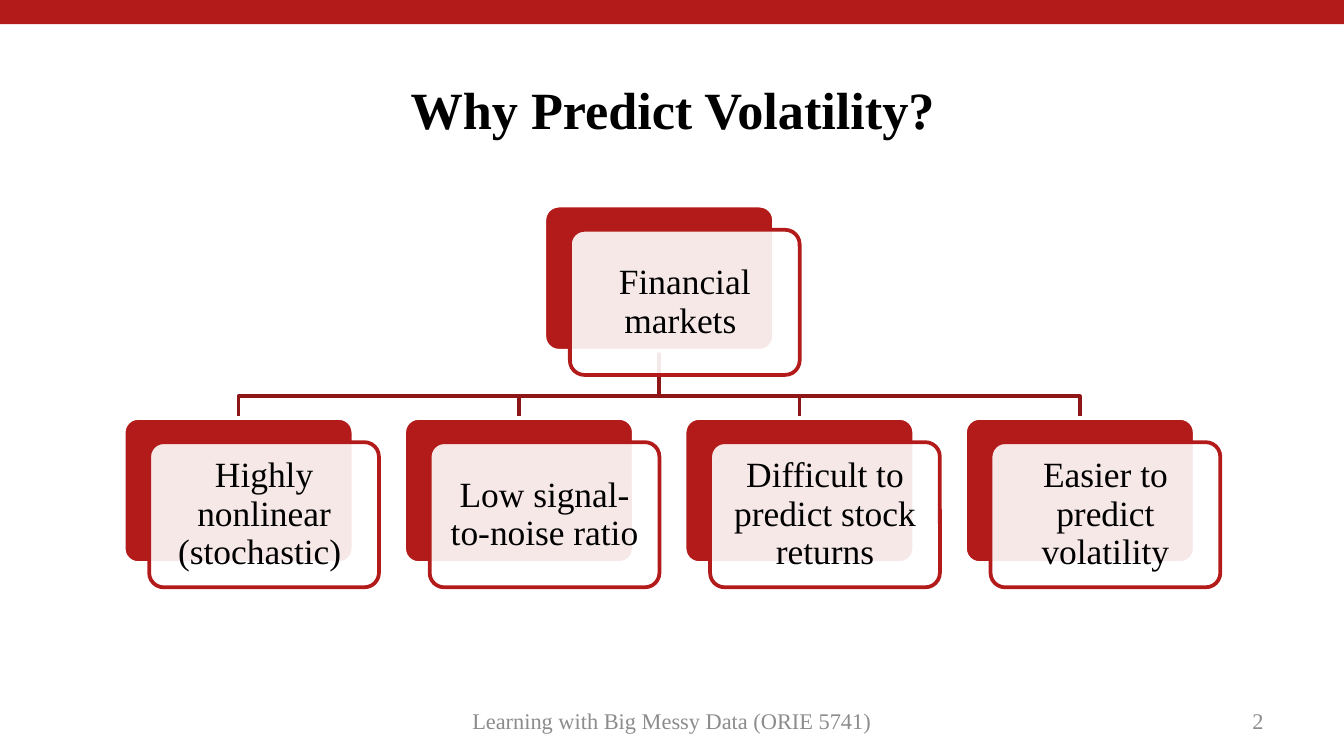
from lxml import etree
from pptx import Presentation
from pptx.dml.color import RGBColor
from pptx.enum.shapes import MSO_SHAPE as Shape
from pptx.enum.text import MSO_ANCHOR as Anchor, PP_ALIGN as Align
from pptx.oxml.ns import qn
from pptx.util import Inches, Pt

COLORS = {"red": "B31B1B", "dark_red": "8F1616", "white": "FFFFFF",
          "black": "000000", "gray": "8C8C8C"}
COLORS = {name: RGBColor.from_string(value) for name, value in COLORS.items()}
FONT = "Times New Roman"

# Widescreen page, 16 to 9
deck = Presentation()
deck.slide_width, deck.slide_height = Inches(10), Inches(10 * 9 / 16)
page = deck.slides.add_slide(deck.slide_layouts[6])


def add_text(text, place, size, color="black", align=Align.CENTER,
             bold=False, spacing=1.0, inset=(0.1, 0.05)):
    box = page.shapes.add_textbox(*[Inches(value) for value in place])
    side, edge = [Inches(value) for value in inset]
    frame_format = {"word_wrap": True, "vertical_anchor": Anchor.MIDDLE,
                    "margin_left": side, "margin_right": side,
                    "margin_top": edge, "margin_bottom": edge}
    for name, value in frame_format.items():
        setattr(box.text_frame, name, value)
    para = box.text_frame.paragraphs[0]
    para.alignment, para.line_spacing = align, spacing
    span = para.add_run()
    span.text = text
    for name, value in {"name": FONT, "size": Pt(size), "bold": bold}.items():
        setattr(span.font, name, value)
    span.font.color.rgb = COLORS[color]


def add_panel(kind, place, fill, line=None):
    panel = page.shapes.add_shape(kind, *[Inches(value) for value in place])
    panel.shadow.inherit = False
    panel.fill.solid()
    panel.fill.fore_color.rgb = COLORS[fill]
    if line:
        panel.line.color.rgb = COLORS[line]
        panel.line.width = Pt(2)
        panel.adjustments[0] = 0.1
    else:
        panel.line.fill.background()
    return panel


# Top band and title
add_panel(Shape.RECTANGLE, (0, 0, 10, 0.18), "red")
add_text("Why Predict Volatility?", (0.92, 0.62, 8.17, 0.44), 28,
         bold=True, spacing=0.9)

# Tree layout: one root above four evenly spaced leaves
CARD_W, CARD_H = 1.71, 1.08
OFFSET_X, OFFSET_Y = 0.19, 0.18
PAD = 0.03
ROOT_LEFT, ROOT_TOP = 4.05, 1.53
LEAF_LEFT, LEAF_TOP = 0.92, 3.11
PITCH = (7.18 - LEAF_LEFT) / 3
ELBOW_Y = 2.95

leaf_texts = ["Highly nonlinear (stochastic) ", "Low signal-to-noise ratio",
              "Difficult to predict stock returns", "Easier to predict volatility"]
leaves = [(text, LEAF_LEFT + index * PITCH, LEAF_TOP)
          for index, text in enumerate(leaf_texts)]

# Elbow lines from the root to each leaf
root_x, root_bottom = ROOT_LEFT + CARD_W / 2, ROOT_TOP + CARD_H
for _, left, top in reversed(leaves):
    leaf_x = left + CARD_W / 2
    builder = page.shapes.build_freeform(Inches(root_x), Inches(root_bottom))
    corners = [(root_x, ELBOW_Y), (leaf_x, ELBOW_Y), (leaf_x, top)]
    builder.add_line_segments([(Inches(x), Inches(y)) for x, y in corners],
                              close=False)
    elbow = builder.convert_to_shape()
    elbow.shadow.inherit = False
    elbow.fill.background()
    elbow.line.color.rgb = COLORS["dark_red"]
    elbow.line.width = Pt(2)

# Cards: red back, translucent front, text
for text, left, top in [("Financial markets ", ROOT_LEFT, ROOT_TOP)] + leaves:
    add_panel(Shape.ROUNDED_RECTANGLE, (left, top, CARD_W, CARD_H), "red", "white")
    left, top = left + OFFSET_X, top + OFFSET_Y
    front = add_panel(Shape.ROUNDED_RECTANGLE, (left, top, CARD_W, CARD_H),
                      "white", "red")
    tint = front.fill._xPr.find(qn("a:solidFill"))[0]
    etree.SubElement(tint, qn("a:alpha"), val="90000")
    add_text(text, (left + PAD, top + PAD, CARD_W - 2 * PAD, CARD_H - 2 * PAD),
             19, spacing=0.9, inset=(0.08, 0.08))

# Footer
add_text("2", (7.17, 5.21, 2.33, 0.3), 12, "gray", Align.RIGHT)
add_text("Learning with Big Messy Data (ORIE 5741)", (3.32, 5.21, 3.36, 0.3),
         12, "gray")

deck.save("out.pptx")
